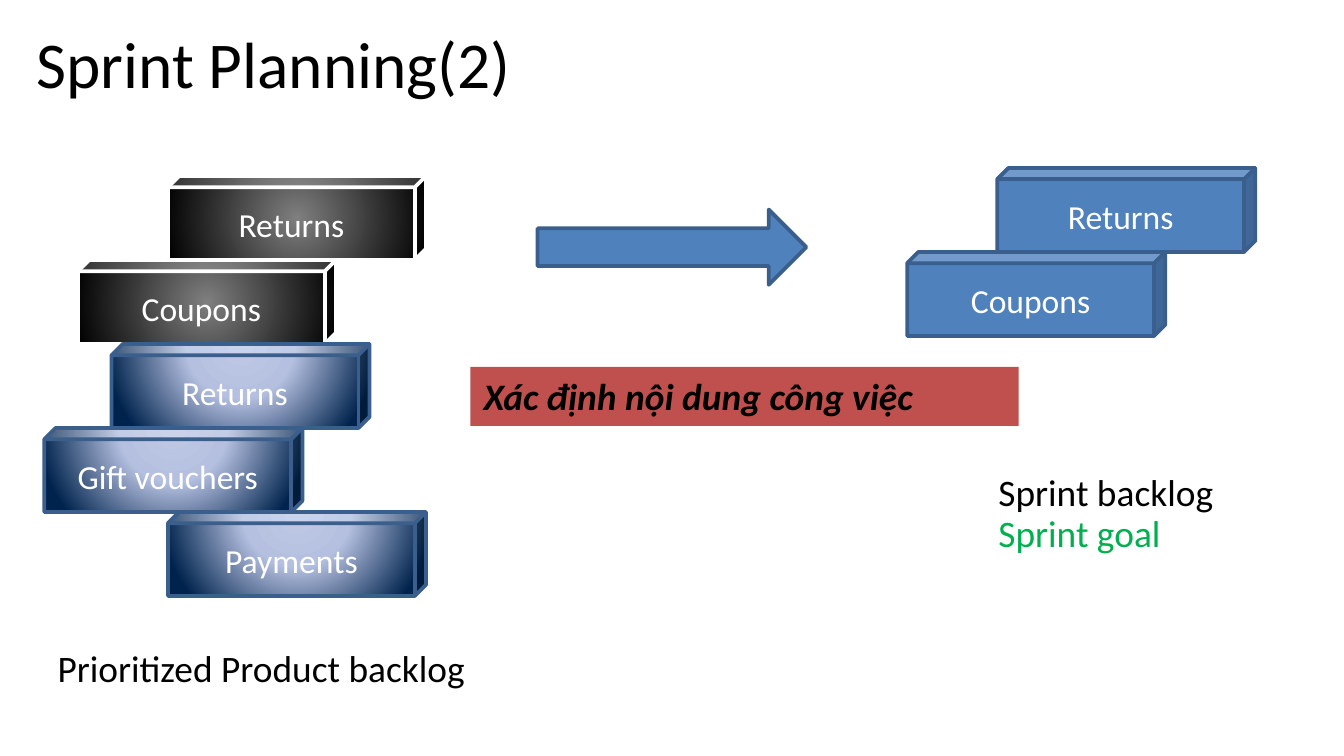
"""Build the Sprint Planning slide: product backlog flowing into the sprint backlog."""
import pptx
import pptx.dml.color
import pptx.enum.shapes
import pptx.enum.text
import pptx.oxml
import pptx.oxml.ns
import pptx.util

Inches = pptx.util.Inches
RGBColor = pptx.dml.color.RGBColor
SHAPES = pptx.enum.shapes.MSO_SHAPE
ALIGN = pptx.enum.text.PP_ALIGN
ANCHOR = pptx.enum.text.MSO_ANCHOR

BLACK = RGBColor(0x00, 0x00, 0x00)
WHITE = RGBColor(0xFF, 0xFF, 0xFF)
GRAY = RGBColor(0x7F, 0x7F, 0x7F)
BLUE = RGBColor(0x4F, 0x81, 0xBD)
EDGE = RGBColor(0x3A, 0x5F, 0x8C)
PALE = RGBColor(0xBF, 0xC9, 0xE5)
LAVENDER = RGBColor(0xB5, 0xC0, 0xE0)
NAVY = RGBColor(0x00, 0x23, 0x4D)
RED = RGBColor(0xC0, 0x50, 0x4D)
GREEN = RGBColor(0x00, 0xB0, 0x50)

SELECTED_GLOW = ([(0, GRAY), (100, BLACK)], (50, 50, 50, 50))
WAITING_GLOW = ([(0, PALE), (40, LAVENDER), (100, NAVY)], (50, -80, 50, 180))
PAGE_WIDTH = 10
PAGE_HEIGHT = PAGE_WIDTH * 9 / 16
ROW_STEP = PAGE_HEIGHT / 9


def write(frame, text, size=20, color=BLACK, bold=False, italic=False,
          align=ALIGN.LEFT, anchor=ANCHOR.TOP, wrap=True, font="Calibri"):
    """Put formatted text into a text frame."""
    frame.text = text
    frame.word_wrap = wrap
    frame.vertical_anchor = anchor
    line = frame.paragraphs[0]
    line.alignment = align
    face = line.runs[0].font
    face.name, face.size = font, pptx.util.Pt(size)
    face.bold, face.italic = bold, italic
    face.color.rgb = color


def radial_fill(shape, stops, focus):
    """Fill a shape with a circular gradient."""
    stop_xml = "".join(
        f'<a:gs pos="{place * 1000}"><a:srgbClr val="{color}"/></a:gs>'
        for place, color in stops)
    edges = " ".join(f'{side}="{value * 1000}"' for side, value in zip("ltrb", focus))
    gradient = pptx.oxml.parse_xml(
        f'<a:gradFill {pptx.oxml.ns.nsdecls("a")} rotWithShape="1">'
        f'<a:gsLst>{stop_xml}</a:gsLst>'
        f'<a:path path="circle"><a:fillToRect {edges}/></a:path></a:gradFill>')
    shape.fill.solid()
    properties = shape._element.spPr
    properties.replace(properties.find(pptx.oxml.ns.qn("a:solidFill")), gradient)


class SprintSlide:
    """Hold the slide and its shared style."""

    cube_width, cube_height, cube_depth = 1.92, ROW_STEP, 0.133
    line_width = 2

    def __init__(self, deck):
        """Add a title-only slide."""
        self.slide = deck.slides.add_slide(deck.slide_layouts[5])

    def title(self, text, left, top, width, height):
        """Place and fill the title."""
        heading = self.slide.shapes.title
        heading.left, heading.top = Inches(left), Inches(top)
        heading.width, heading.height = Inches(width), Inches(height)
        write(heading.text_frame, text, size=35, anchor=ANCHOR.MIDDLE)

    def block(self, kind, left, top, width, height, fill=BLUE, edge=EDGE):
        """Add a filled preset shape."""
        block = self.slide.shapes.add_shape(
            kind, Inches(left), Inches(top), Inches(width), Inches(height))
        block.shadow.inherit = False
        if isinstance(fill, RGBColor):
            block.fill.solid()
            block.fill.fore_color.rgb = fill
        else:
            radial_fill(block, *fill)
        if edge is None:
            block.line.fill.background()
        else:
            block.line.color.rgb = edge
            block.line.width = pptx.util.Pt(self.line_width)
        return block

    def story(self, text, left, top, fill=BLUE, edge=EDGE):
        """Add a backlog item as a cube."""
        cube = self.block(SHAPES.CUBE, left, top, self.cube_width,
                          self.cube_height, fill, edge)
        cube.adjustments[0] = self.cube_depth
        write(cube.text_frame, text, size=18, color=WHITE,
              align=ALIGN.CENTER, anchor=ANCHOR.MIDDLE)

    def label(self, text, left, top, width, color=BLACK):
        """Add a one-line caption."""
        caption = self.slide.shapes.add_textbox(
            Inches(left), Inches(top), Inches(width), Inches(0.44))
        write(caption.text_frame, text, color=color, wrap=False)

    def banner(self, text, left, top, width, height):
        """Add the highlighted statement."""
        strip = self.block(SHAPES.RECTANGLE, left, top, width, height, RED, None)
        write(strip.text_frame, text, bold=True, italic=True)


def main():
    """Build and save the deck."""
    deck = pptx.Presentation()
    deck.slide_width, deck.slide_height = Inches(PAGE_WIDTH), Inches(PAGE_HEIGHT)
    sprint = SprintSlide(deck)
    sprint.title("Sprint Planning(2)", 0.17, 0.12, 9.25, 0.69)

    selected, waiting = (SELECTED_GLOW, WHITE), (WAITING_GLOW, EDGE)
    for item, left, row, look in [
            ("Coupons", 0.58, 1, selected),
            ("Returns", 0.83, 2, waiting),
            ("Gift vouchers", 0.33, 3, waiting),
            ("Returns", 1.25, 0, selected),
            ("Payments", 1.25, 4, waiting)]:
        sprint.story(item, left, 1.31 + row * ROW_STEP, *look)

    sprint.block(SHAPES.RIGHT_ARROW, 4, 1.56, 2, 0.56)
    for item, left, row in [("Coupons", 6.75, 1), ("Returns", 7.42, 0)]:
        sprint.story(item, left, 1.25 + row * ROW_STEP)

    sprint.label("Prioritized Product backlog", 0.33, 4.75, 3.27)
    sprint.label("Sprint backlog", 7.33, 3.44, 1.82)
    sprint.label("Sprint goal", 7.33, 3.75, 1.42, GREEN)
    sprint.banner("Xác định nội dung công việc", 3.5, 2.73, 4.08, 0.44)
    deck.save("out.pptx")


if __name__ == "__main__":
    main()
